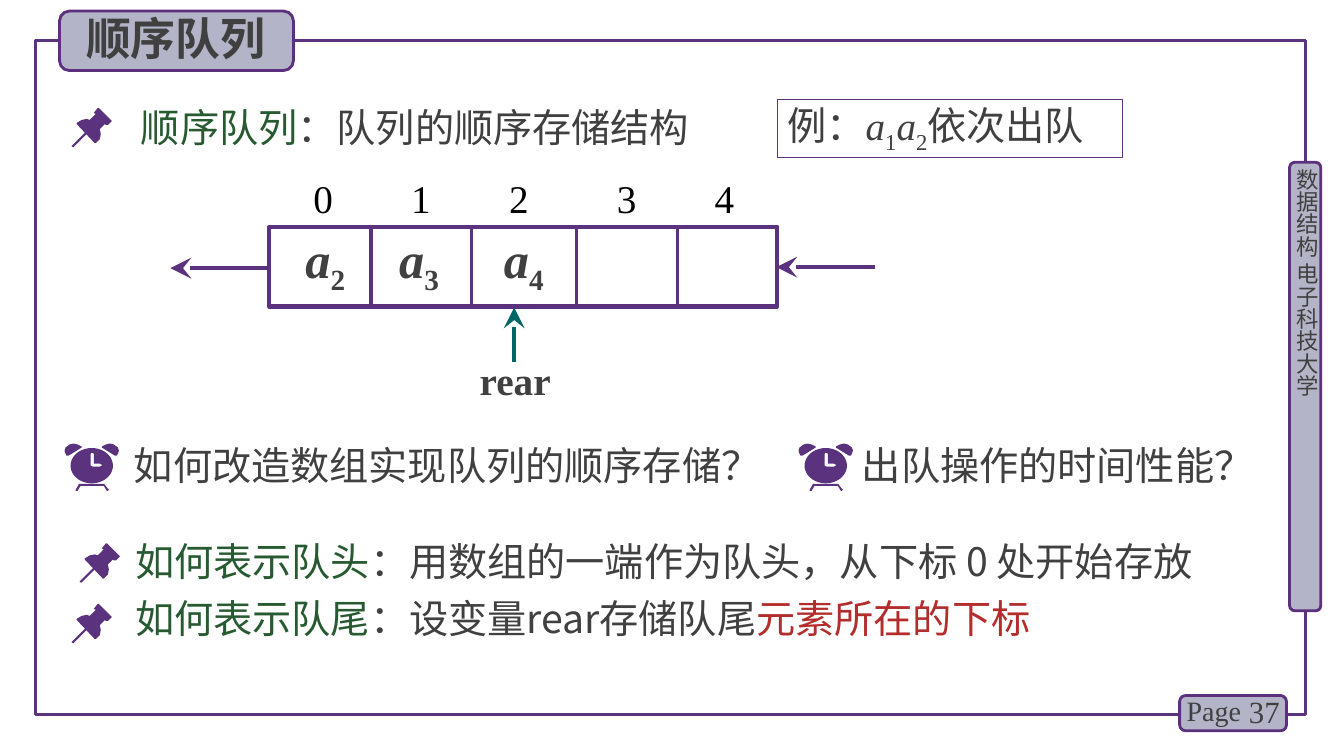
from dataclasses import dataclass
from math import cos, pi, sin

from pptx import Presentation
from pptx.dml.color import RGBColor
from pptx.enum.shapes import MSO_CONNECTOR as Connector, MSO_SHAPE as Preset
from pptx.enum.text import MSO_ANCHOR as Anchor, MSO_AUTO_SIZE as AutoSize, PP_ALIGN as Align
from pptx.oxml.ns import qn
from pptx.util import Inches, Pt


@dataclass(frozen=True)
class Theme:
    purple: str = "5A327D"
    border: str = "5C307D"
    panel: str = "B4B4C8"
    ink: str = "404040"
    black: str = "000000"
    green: str = "285A32"
    red: str = "B42D2D"
    teal: str = "006666"
    sans: str = "Noto Sans CJK SC"
    serif: str = "Times New Roman"
    side: int = 16
    footer: int = 20
    number: int = 22
    body: int = 28
    title: int = 32
    cell: int = 36


def apply(target, values):
    for name, value in values.items():
        setattr(target, name, value)


def child(parent, tag, **attributes):
    element = parent.makeelement(qn(tag), attributes)
    parent.append(element)
    return element


# Icon outlines, in inches from the icon's top left corner
PIN = [
    [[(.39, .12), (.27, 0), (.26, 0), (.22, .05), (.24, .06), (.18, .12), (.15, .11),
      (.1, .12), (.05, .15), (.05, .16), (.23, .35), (.24, .35), (.28, .31), (.29, .26),
      (.28, .21), (.33, .16), (.34, .17), (.36, .17), (.4, .13)]],
    [[(.01, .39), (0, .38), (.14, .24), (.15, .24), (.16, .25), (.02, .39)]],
]
EAR = [(.09, 0), (.05, .01), (.01, .04), (0, .07), (.01, .1), (.02, .12), (.04, .12),
       (.17, .04), (.17, .03), (.13, .01)]
FEET = [(.44, .46), (.4, .41), (.39, .4), (.14, .4), (.14, .41), (.11, .46), (.11, .47),
        (.13, .47), (.16, .42), (.39, .42), (.42, .47), (.43, .47)]
FACE = [(.27 + .21 * cos(i * pi / 24), .22 + .175 * sin(i * pi / 24)) for i in range(48)]
HANDS = [(.35, .23), (.28, .23), (.26, .22), (.26, .1), (.27, .09), (.29, .1),
         (.29, .2), (.35, .2), (.37, .21), (.37, .22)]
CLOCK = [[FEET], [EAR], [[(.54 - x, y) for x, y in EAR]], [FACE, HANDS]]


class Slide:
    def __init__(self, deck, theme):
        self.theme = theme
        self.page = deck.slides.add_slide(deck.slide_layouts[1])
        self.shapes = self.page.shapes

    def fill_text(self, frame, paragraphs, size, font=None, align=Align.LEFT, inset=(.1, .05), gap=0):
        """Each span is (text, color) or (text, color, format values, baseline)."""
        across, down = map(Inches, inset)
        apply(frame, dict(auto_size=AutoSize.NONE, word_wrap=True, vertical_anchor=Anchor.MIDDLE,
                          margin_left=across, margin_right=across,
                          margin_top=down, margin_bottom=down))
        for index, spans in enumerate(paragraphs):
            para = frame.paragraphs[0] if index == 0 else frame.add_paragraph()
            last = index == len(paragraphs) - 1
            apply(para, dict(alignment=align, space_before=Pt(0), space_after=Pt(0 if last else gap)))
            for text, color, *extra in spans:
                span = para.add_run()
                span.text = text
                apply(span.font, dict(name=font or self.theme.sans, size=Pt(size), bold=False))
                apply(span.font, extra[0] if extra else {})
                span.font.color.rgb = RGBColor.from_string(color)
                properties = span._r.get_or_add_rPr()
                child(properties, "a:ea", typeface=self.theme.sans)
                if len(extra) > 1:
                    properties.set("baseline", str(extra[1]))

    def text(self, at, spans, size, **style):
        box = self.shapes.add_textbox(*map(Inches, at))
        self.fill_text(box.text_frame, [spans], size, **style)
        return box

    def placeholder(self, index, at, paragraphs, size, **style):
        box = self.page.placeholders[index]
        apply(box, dict(zip(("left", "top", "width", "height"), map(Inches, at))))
        self.fill_text(box.text_frame, paragraphs, size, **style)
        for para in box.text_frame.paragraphs:
            properties = para._p.get_or_add_pPr()
            properties.set("marL", "0")
            properties.set("indent", "0")
            child(properties, "a:buNone")
        self.shapes._spTree.append(box._element)

    def shape(self, preset, at, color, width, fill=None):
        box = self.shapes.add_shape(preset, *map(Inches, at))
        box.shadow.inherit = False
        if fill:
            box.fill.solid()
            box.fill.fore_color.rgb = RGBColor.from_string(fill)
        else:
            box.fill.background()
        box.line.color.rgb = RGBColor.from_string(color)
        box.line.width = Pt(width)
        return box

    def tab(self, at):
        self.shape(Preset.ROUNDED_RECTANGLE, at, self.theme.border, 2, self.theme.panel)

    def line(self, start, end, color, width, arrow=False):
        line = self.shapes.add_connector(Connector.STRAIGHT, *map(Inches, start + end))
        line.line.color.rgb = RGBColor.from_string(color)
        line.line.width = Pt(width)
        if arrow:
            child(line.line._get_or_add_ln(), "a:tailEnd", type="stealth", w="lg", len="lg")
        child(line._element.spPr, "a:effectLst")

    def icon(self, parts, left, top):
        for contours in parts:
            builder = None
            for contour in contours:
                points = [(Inches(left + x), Inches(top + y)) for x, y in contour]
                if builder is None:
                    builder = self.shapes.build_freeform(*points[0])
                else:
                    builder.move_to(*points[0])
                builder.add_line_segments(points[1:], close=True)
            outline = builder.convert_to_shape()
            outline.shadow.inherit = False
            outline.fill.solid()
            outline.fill.fore_color.rgb = RGBColor.from_string(self.theme.purple)
            outline.line.fill.background()


def main():
    theme = Theme()
    deck = Presentation()
    apply(deck, dict(slide_width=Inches(13.33), slide_height=Inches(7.5)))
    slide = Slide(deck, theme)
    ink, purple = theme.ink, theme.purple

    # Page frame, side tab and page number
    slide.shape(Preset.RECTANGLE, (.35, .4, 12.6, 6.69), purple, 2.25)
    slide.tab((12.79, 1.61, .31, 4.45))
    side = slide.text((12.83, 1.67, .27, 4.49), [("数据结构 电子科技大学", ink)], theme.side, inset=(0, 0))
    side.text_frame._txBody.bodyPr.set("vert", "eaVert")
    slide.tab((11.7, 6.9, 1.06, .35))
    slide.text((12.2, 6.86, .59, .4), [("37", ink)], theme.number, font=theme.serif, align=Align.RIGHT)
    slide.text((11.67, 6.83, .78, .44), [("Page", ink)], theme.footer, font=theme.serif)

    # Title
    slide.tab((.59, .11, 2.32, .59))
    slide.placeholder(0, (.71, .05, 2.07, .64), [[("顺序队列", ink, dict(bold=True))]],
                      theme.title, align=Align.CENTER)

    # Definition and example
    slide.icon(PIN, .71, 1.07)
    slide.text((1.3, .97, 5.92, .57), [("顺序队列", theme.green), ("：队列的顺序存储结构", ink)], theme.body)
    example = slide.shape(Preset.RECTANGLE, (7.71, .99, 3.42, .57), purple, .75)
    italic, below = dict(italic=True), -25000
    slide.fill_text(example.text_frame, [[
        ("例：", ink), ("a", ink, italic), ("1", ink, {}, below),
        ("a", ink, italic), ("2", ink, {}, below), ("依次出队", ink)]], theme.body, font=theme.serif)

    # Array with its subscripts
    top, bottom = 2.25, 3.04
    slide.shape(Preset.RECTANGLE, (2.67, top, 5.04, bottom - top), purple, 3)
    for x in (3.68, 4.68, 5.72, 6.72):
        slide.line((x, top), (x, bottom), purple, 2.25)
    indexes = slide.text((3.01, 1.68, 4.65, .57), [("0\t1\t2\t3\t4", theme.black)],
                         theme.body, font=theme.serif)
    stops = child(indexes.text_frame.paragraphs[0]._p.get_or_add_pPr(), "a:tabLst")
    for stop in (.97, 1.94, 3.01, 3.98):
        child(stops, "a:tab", pos=str(Inches(stop)), algn="l")
    for x, number in zip((2.93, 3.86, 4.9), "234"):
        slide.text((x, 2.25, .64, .7), [("a", ink, dict(bold=True, italic=True)),
                                        (number, ink, dict(bold=True), below)],
                   theme.cell, font=theme.serif)

    # Queue directions and rear pointer
    for x, y in ((8.68, 2.65), (2.67, 2.66)):
        slide.line((x, y), (x - .98, y), purple, 3, arrow=True)
    slide.line((5.1, 3.59), (5.1, 3.05), theme.teal, 3, arrow=True)
    slide.text((4.66, 3.48, 1.13, .57), [("rear", ink, dict(bold=True))], theme.body, font=theme.serif)

    # Questions
    for icon_left, left, width, question in (
            (.64, 1.23, 6.48, "如何改造数组实现队列的顺序存储？"),
            (7.92, 8.45, 4.15, "出队操作的时间性能？")):
        slide.icon(CLOCK, icon_left, 4.4)
        slide.text((left, 4.33, width, .57), [(question, ink)], theme.body)

    # Answers
    slide.icon(PIN, .79, 5.39)
    slide.icon(PIN, .71, 5.99)
    slide.placeholder(1, (1.24, 5.23, 11.3, 1.23), [
        [("如何表示队头", theme.green), ("：用数组的一端作为队头，从下标 0 处开始存放", ink)],
        [("如何表示队尾", theme.green), ("：设变量rear存储队尾", ink), ("元素所在的下标", theme.red)],
    ], theme.body, gap=7)

    deck.save("out.pptx")


if __name__ == "__main__":
    main()
